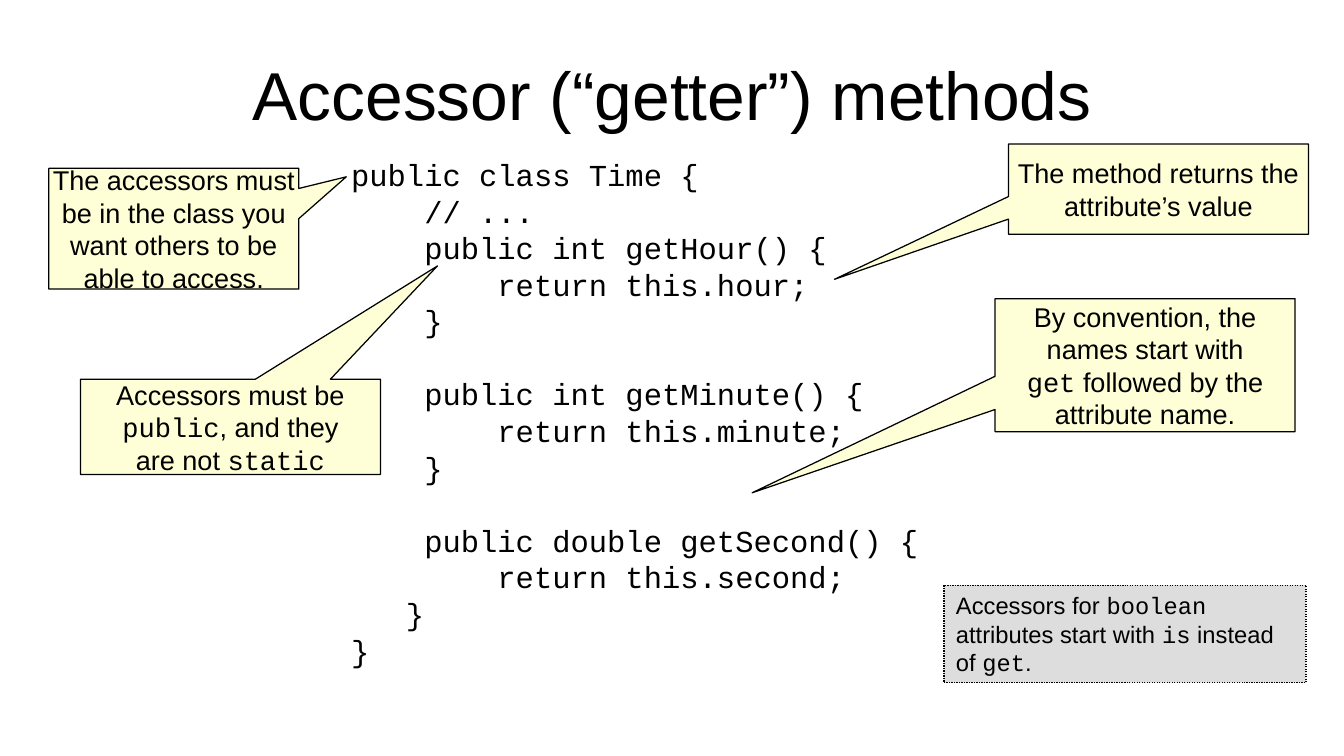
from pptx import Presentation
from pptx.dml.color import RGBColor
from pptx.enum.dml import MSO_LINE
from pptx.enum.shapes import MSO_SHAPE
from pptx.enum.text import MSO_ANCHOR, PP_ALIGN
from pptx.util import Pt

PROSE_FONT, CODE_FONT = "Arial", "Courier New"
LINE_FACTOR = 1.2
CODE_SIZE = 18
CHARACTER_WIDTH = 0.6 * CODE_SIZE

CODE = [
    (0, 0, "public class Time {"),
    (0, 4, "// ..."),
    (0, 4, "public int getHour() {"),
    (0, 8, "return this.hour;"),
    (0, 4, "}"),
    (1, 4, "public int getMinute() {"),
    (0, 8, "return this.minute;"),
    (0, 4, "}"),
    (1, 4, "public double getSecond() {"),
    (0, 8, "return this.second;"),
    (0, 3, "}"),
    (0, 0, "}"),
]

CALLOUTS = [
    ((28.8, 99.4, 147.6, 71.3), (0.69, -0.43),
     ["The accessors must", "be in the class you", "want others to be", "able to access."]),
    ((47.5, 223.9, 177.1, 56.2), (0.69, -1.69),
     ["Accessors must be", "`public`, and they", "are not `static`"]),
    ((595.4, 85, 177.1, 53.3), (-1.08, 1),
     ["The method returns the", "attribute’s value"]),
    ((587.5, 176.4, 177.1, 78.5), (-1.31, 0.96),
     ["By convention, the", "names start with", "`get` followed by the", "attribute name."]),
]


def color(hex_string):
    return RGBColor.from_string(hex_string)


def points(box):
    return [Pt(length) for length in box]


def format_run(run, font, size):
    run.font.name = font
    run.font.size = Pt(size)
    run.font.color.rgb = color("000000")


def write_prose(frame, lines, size, alignment):
    frame.text = "\n".join(line.replace("`", "") for line in lines)
    for paragraph, line in zip(frame.paragraphs, lines):
        paragraph.alignment = alignment
        paragraph.line_spacing = Pt(size * LINE_FACTOR)
        paragraph.clear()
        for index, words in enumerate(line.split("`")):
            if words:
                run = paragraph.add_run()
                run.text = words
                format_run(run, CODE_FONT if index % 2 else PROSE_FONT, size)


def add_panel(slide, preset, box, fill):
    panel = slide.shapes.add_shape(preset, *points(box))
    panel.shadow.inherit = False
    panel.fill.solid()
    panel.fill.fore_color.rgb = color(fill)
    panel.line.color.rgb = color("000000")
    panel.line.width = Pt(0)
    return panel


def add_title(slide, box):
    frame = slide.shapes.add_textbox(*points(box)).text_frame
    frame.word_wrap = True
    frame.vertical_anchor = MSO_ANCHOR.MIDDLE
    frame.margin_left = frame.margin_right = frame.margin_top = frame.margin_bottom = 0
    write_prose(frame, ["Accessor (“getter”) methods"], 40, PP_ALIGN.CENTER)


def add_code(slide, box):
    frame = slide.shapes.add_textbox(*points(box)).text_frame
    frame.word_wrap = True
    frame.text = "\n".join(statement for _, _, statement in CODE)
    pitch = CODE_SIZE * LINE_FACTOR
    for paragraph, (gap_lines, indent, _) in zip(frame.paragraphs, CODE):
        paragraph.line_spacing = Pt(pitch)
        paragraph.space_before = Pt(gap_lines * pitch)
        paragraph._p.get_or_add_pPr().set("marL", str(Pt(indent * CHARACTER_WIDTH)))
        format_run(paragraph.runs[0], CODE_FONT, CODE_SIZE)


def add_callout(slide, box, tip, lines):
    callout = add_panel(slide, MSO_SHAPE.RECTANGULAR_CALLOUT, box, "FFFFD7")
    callout.adjustments[0], callout.adjustments[1] = tip
    callout.text_frame.word_wrap = False
    callout.text_frame.vertical_anchor = MSO_ANCHOR.MIDDLE
    write_prose(callout.text_frame, lines, 16, PP_ALIGN.CENTER)


def add_boolean_note(slide, box):
    note = add_panel(slide, MSO_SHAPE.RECTANGLE, box, "DDDDDD")
    note.line.dash_style = MSO_LINE.ROUND_DOT
    note.text_frame.word_wrap = True
    note.text_frame.vertical_anchor = MSO_ANCHOR.TOP
    sentence = "Accessors for `boolean` attributes start with `is` instead of `get`."
    write_prose(note.text_frame, [sentence], 14, PP_ALIGN.LEFT)


presentation = Presentation()
presentation.slide_width, presentation.slide_height = Pt(793.44), Pt(446.4)
slide = presentation.slides.add_slide(presentation.slide_layouts[6])
add_title(slide, (39.6, 18, 714.2, 74.9))
add_code(slide, (200.2, 88.6, 491.8, 333.4))
for box, tip, lines in CALLOUTS:
    add_callout(slide, box, tip, lines)
add_boolean_note(slide, (557.3, 345.6, 213.8, 57.6))
presentation.save("out.pptx")
